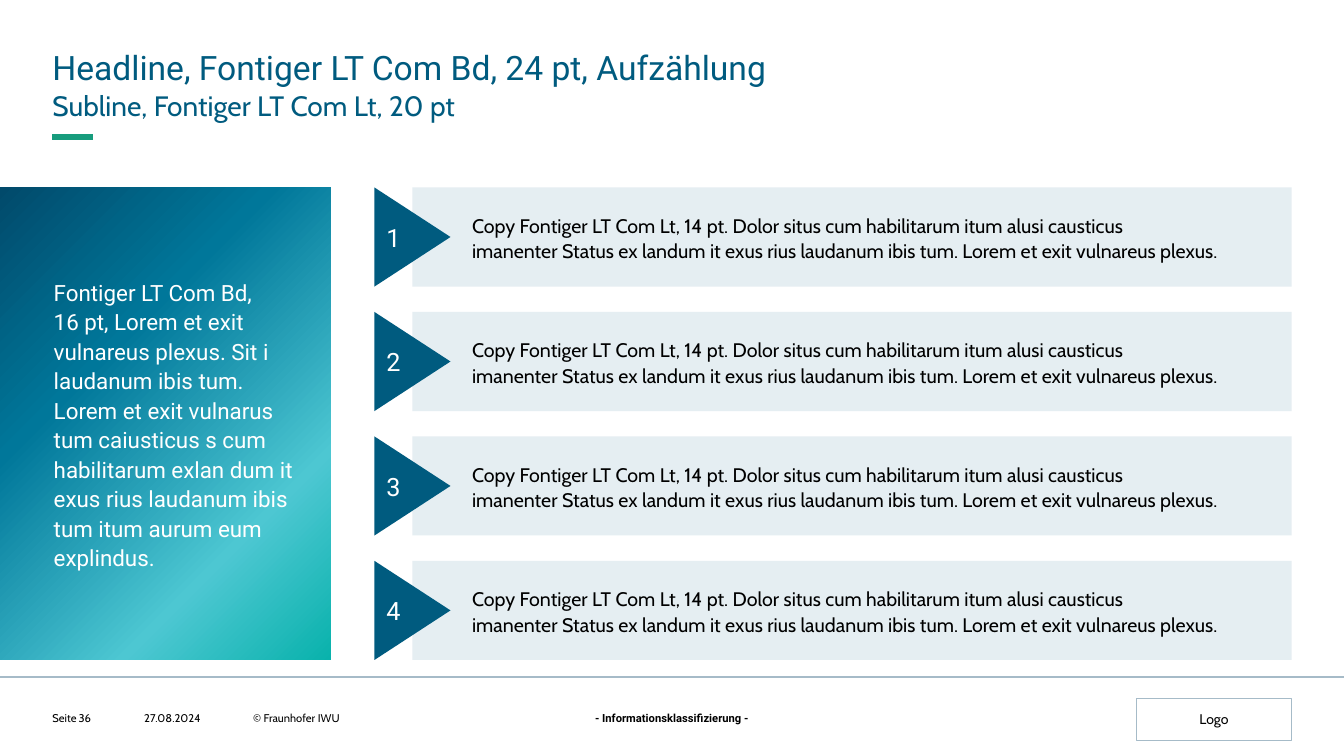
from copy import deepcopy
from dataclasses import dataclass

from lxml.etree import SubElement
from pptx import Presentation
from pptx.dml.color import RGBColor
from pptx.enum.shapes import MSO_CONNECTOR, MSO_SHAPE
from pptx.enum.text import MSO_ANCHOR, PP_ALIGN
from pptx.oxml.ns import qn
from pptx.util import Inches, Pt

WIDTH, HEIGHT = Inches(13.33), Inches(7.5)
HEADING_FONT, COPY_FONT = "Roboto", "Cabin"
NAVY, GREEN, GREY, PALE = "005B7F", "179C7D", "A6BBC8", "E5EEF2"
BLACK, WHITE = "000000", "FFFFFF"

# Grid, in percent of the slide's width (columns) and height (rows)
MARGIN, RIGHT = 3.9, 96.1
PANEL_RIGHT, BAR_LEFT, ARROW_LEFT, ARROW_LENGTH = 24.63, 30.69, 27.86, 5.66
CONTENT_TOP, CONTENT_HEIGHT, BAR_HEIGHT = 24.8, 62.5, 13.11
FOOTER_TOP, FOOTER_HEIGHT = 94.13, 1.73


def across(percent: float) -> int:
    return round(WIDTH * percent / 100)


def down(percent: float) -> int:
    return round(HEIGHT * percent / 100)


@dataclass
class Area:
    left: float
    top: float
    width: float
    height: float

    def place(self) -> tuple:
        return across(self.left), down(self.top), across(self.width), down(self.height)


@dataclass
class Label:
    text: str
    area: Area
    size: float = 8
    font: str = COPY_FONT
    color: str = BLACK
    bold: bool = False
    align: PP_ALIGN = PP_ALIGN.LEFT
    anchor: MSO_ANCHOR = MSO_ANCHOR.MIDDLE
    spacing: float = 1.0
    wrap: bool = True


def rgb(color: str) -> RGBColor:
    return RGBColor.from_string(color)


def write(box, text: str, *, size=8, font=COPY_FONT, color=BLACK, bold=False,
          align=PP_ALIGN.LEFT, anchor=MSO_ANCHOR.MIDDLE, spacing=1.0,
          wrap=True, insets=(0, 0, 0, 0)) -> None:
    """Fill a box with one paragraph; insets are percent of the slide's width."""
    frame = box.text_frame
    frame.word_wrap = wrap
    frame.vertical_anchor = anchor
    (frame.margin_left, frame.margin_top,
     frame.margin_right, frame.margin_bottom) = map(across, insets)
    para = frame.paragraphs[0]
    para.text = text
    para.alignment = align
    para.line_spacing = spacing
    for span in para.runs:
        span.font.size = Pt(size)
        span.font.name = font
        span.font.bold = bold
        span.font.color.rgb = rgb(color)
    # Line breaks take the format of the text around them
    for line_break in box.element.iter(qn("a:br")):
        line_break.insert(0, deepcopy(line_break.getprevious().find(qn("a:rPr"))))


def add_label(page, label: Label) -> None:
    box = page.shapes.add_textbox(*label.area.place())
    write(box, label.text, size=label.size, font=label.font, color=label.color,
          bold=label.bold, align=label.align, anchor=label.anchor,
          spacing=label.spacing, wrap=label.wrap)


def add_block(page, kind: MSO_SHAPE, place: tuple, fill: str, line: str = ""):
    block = page.shapes.add_shape(kind, *place)
    block.shadow.inherit = False
    block.fill.solid()
    block.fill.fore_color.rgb = rgb(fill)
    if line:
        block.line.color.rgb = rgb(line)
        block.line.width = Pt(0.75)
    else:
        block.line.fill.background()
    return block


def add_rule(page, left: float, right: float, top: float, color: str, weight: float) -> None:
    rule = page.shapes.add_connector(MSO_CONNECTOR.STRAIGHT, across(left), down(top),
                                     across(right), down(top))
    rule.line.color.rgb = rgb(color)
    rule.line.width = Pt(weight)
    SubElement(rule.element.spPr, qn("a:effectLst"))


def shade(block, stops: list) -> None:
    """Diagonal gradient from the top left to the bottom right corner."""
    block.fill.gradient()
    block.fill.gradient_angle = 315
    stop_list = next(block.element.iter(qn("a:gsLst")))
    for stop in list(stop_list):
        stop_list.remove(stop)
    for percent, color in stops:
        stop = SubElement(stop_list, qn("a:gs"), pos=str(percent * 1000))
        SubElement(stop, qn("a:srgbClr"), val=color)


def add_item(page, number: int, top: float, text: str) -> None:
    """A pale bar with a numbered arrow at its left end."""
    bar_area = Area(BAR_LEFT, top, RIGHT - BAR_LEFT, BAR_HEIGHT)
    bar = add_block(page, MSO_SHAPE.RECTANGLE, bar_area.place(), PALE)
    write(bar, text, size=14, spacing=1.1, insets=(4.43, 0.6, 0.6, 0.6))
    # The triangle is turned by a quarter about its centre
    base, length = down(BAR_HEIGHT), across(ARROW_LENGTH)
    left = across(ARROW_LEFT) + (length - base) // 2
    arrow_top = down(top) + (base - length) // 2
    arrow = add_block(page, MSO_SHAPE.ISOSCELES_TRIANGLE, (left, arrow_top, base, length), NAVY)
    arrow.rotation = 90
    write(arrow, str(number), size=18, font=HEADING_FONT, color=WHITE,
          align=PP_ALIGN.CENTER, insets=(0.75, 0.38, 0.75, 0.38))
    arrow.element.txBody.bodyPr.set("vert", "vert270")


PANEL_TEXT = ("Fontiger LT Com Bd, \v16 pt, Lorem et exit vulnareus plexus. Sit i laudanum "
              "ibis tum. Lorem et exit vulnarus tum caiusticus s cum habilitarum exlan dum it "
              "exus rius laudanum ibis tum itum aurum eum explindus.")
COPY = ("Copy Fontiger LT Com Lt, 14 pt. Dolor situs cum habilitarum itum alusi causticus\v"
        "imanenter Status ex landum it exus rius laudanum ibis tum. "
        "Lorem et exit vulnareus plexus.")
ITEMS = [COPY] * 4
PANEL_STOPS = [(0, "014A6B"), (34, "00779A"), (74, "4DC7D2"), (100, "09B2AC")]

HEADINGS = [
    Label("Headline, Fontiger LT Com Bd, 24 pt, Aufzählung",
          Area(MARGIN, 5.73, RIGHT - MARGIN, 5.6), 24, HEADING_FONT, NAVY,
          anchor=MSO_ANCHOR.TOP, spacing=1.1),
    Label("Subline, Fontiger LT Com Lt, 20 pt",
          Area(MARGIN, 11.33, RIGHT - MARGIN, 4.67), 20, COPY_FONT, NAVY,
          anchor=MSO_ANCHOR.TOP, spacing=1.1),
]


def footer_area(left: float, width: float) -> Area:
    return Area(left, FOOTER_TOP, width, FOOTER_HEIGHT)


FOOTER = [
    Label("Seite", footer_area(MARGIN, 1.88), wrap=False),
    Label("36", footer_area(5.85, 3.38)),
    Label("27.08.2024", footer_area(10.73, 7.05)),
    Label("© Fraunhofer IWU", footer_area(18.83, 24.23)),
    Label("- Informationsklassifizierung -", footer_area(44.1, 11.8), font=HEADING_FONT,
          bold=True, align=PP_ALIGN.CENTER, wrap=False),
]


def main() -> None:
    deck = Presentation()
    deck.slide_width, deck.slide_height = WIDTH, HEIGHT
    page = deck.slides.add_slide(deck.slide_layouts[6])

    # Headings and rules
    add_rule(page, MARGIN, MARGIN + 3, 18.13, GREEN, 4)
    add_rule(page, 0, 100, 89.6, GREY, 1.5)
    for heading in HEADINGS:
        add_label(page, heading)

    # Gradient panel
    panel_area = Area(0, CONTENT_TOP, PANEL_RIGHT, CONTENT_HEIGHT)
    panel = add_block(page, MSO_SHAPE.RECTANGLE, panel_area.place(), NAVY)
    shade(panel, PANEL_STOPS)
    write(panel, PANEL_TEXT, size=16, font=HEADING_FONT, color=WHITE, spacing=1.1,
          insets=(4, 2.33, 2.33, 2.33))

    # Numbered bars, spread evenly over the panel's height
    pitch = (CONTENT_HEIGHT - BAR_HEIGHT) / (len(ITEMS) - 1)
    for index, text in enumerate(ITEMS):
        add_item(page, index + 1, CONTENT_TOP + index * pitch, text)

    # Footer
    for label in FOOTER:
        add_label(page, label)
    logo_area = Area(84.55, 92.4, RIGHT - 84.55, 5.5)
    logo = add_block(page, MSO_SHAPE.RECTANGLE, logo_area.place(), WHITE, GREY)
    write(logo, "Logo", size=10, align=PP_ALIGN.CENTER, insets=(0.9, 0.9, 0.9, 0.9))

    deck.save("out.pptx")


if __name__ == "__main__":
    main()
